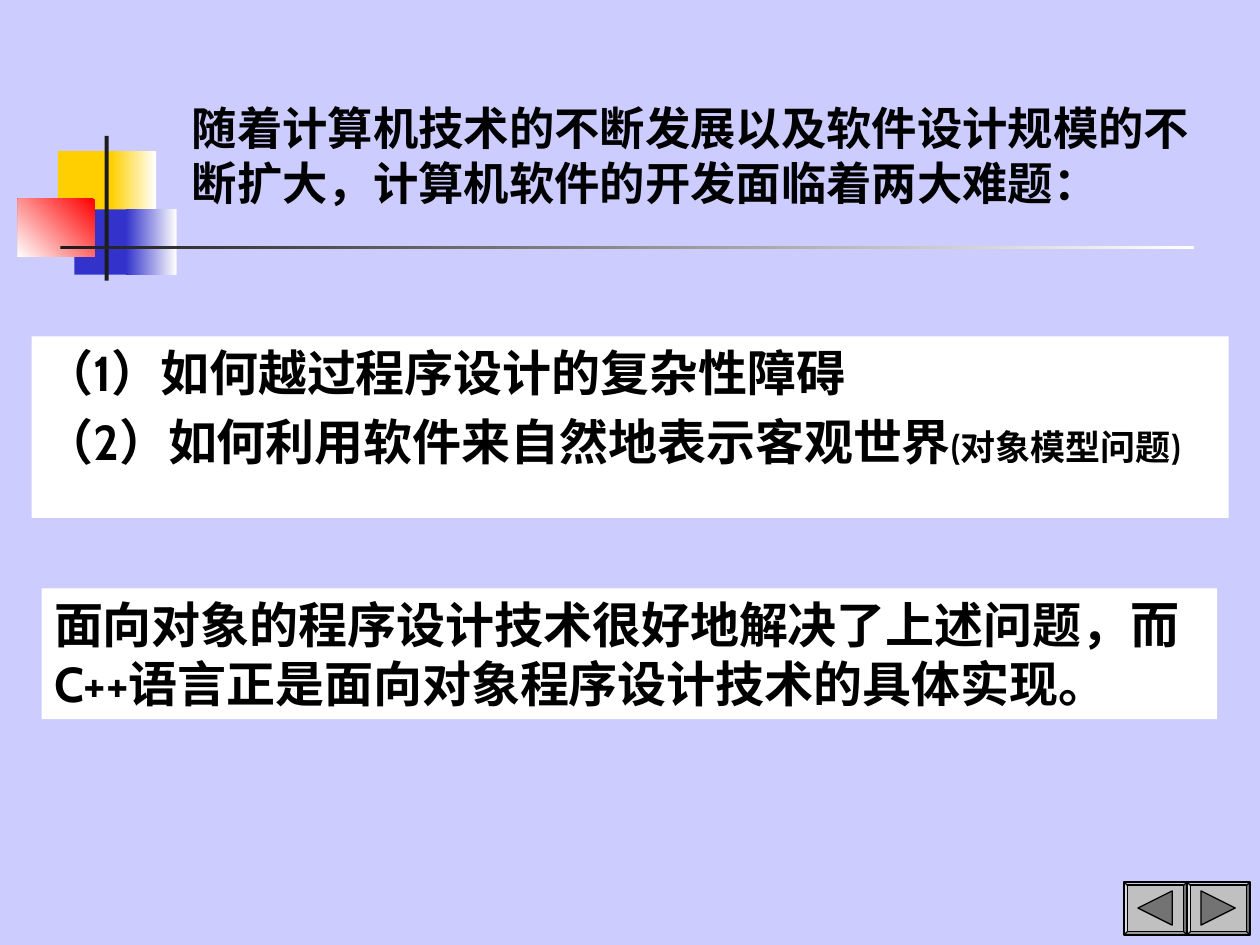
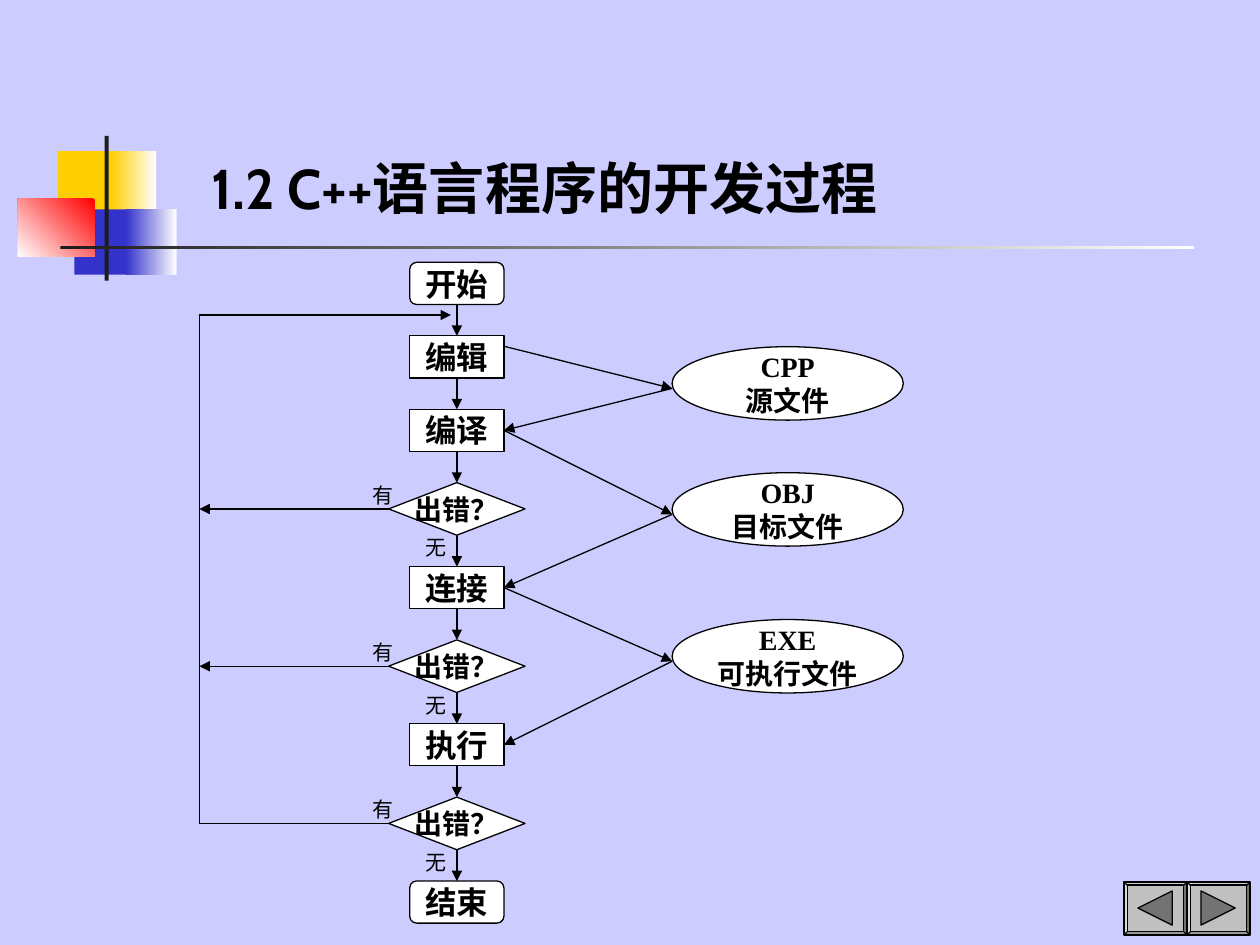
from lxml import etree
from pptx import Presentation
from pptx.dml.color import RGBColor
from pptx.enum import shapes, text
from pptx.oxml import ns
from pptx.util import Cm, Pt

LAVENDER = RGBColor(0xCC, 0xCC, 0xFF)
WHITE = RGBColor(0xFF, 0xFF, 0xFF)
BLACK = RGBColor(0, 0, 0)
INK = RGBColor(0x1C, 0x1C, 0x1C)
YELLOW = RGBColor(0xFF, 0xCF, 0x01)
BLUE = RGBColor(0x33, 0x33, 0xCC)
RED = RGBColor(0xFF, 0, 0)
BUTTON = RGBColor(0xC0, 0xC0, 0xC0)
BUTTON_SIGN = RGBColor(0x73, 0x73, 0x73)
HEAD_FONT = "Cabin"
CHART_FONT = "Times New Roman"
PRESET = shapes.MSO_SHAPE
ANCHOR = text.MSO_ANCHOR
ALIGN = text.PP_ALIGN

AXIS = 9.21
RAIL = 4.02
STEP_W, STEP_H = 1.9, 0.85
CHECK_W, CHECK_H = 2.75, 1.06
STEP_GAP = 0.63
FILE_LEFT, FILE_W, FILE_H = 13.55, 4.66, 1.48


def write(frame, lines, size, font=HEAD_FONT, bold=True, align=ALIGN.LEFT,
          anchor=ANCHOR.TOP, wrap=True, before=0):
    """Fill a text frame; a line is a string or a list of (text, size) runs."""
    frame.auto_size = text.MSO_AUTO_SIZE.NONE
    frame.word_wrap = wrap
    frame.vertical_anchor = anchor
    for index, line in enumerate(lines):
        paragraph = frame.paragraphs[0] if index == 0 else frame.add_paragraph()
        paragraph.alignment = align
        paragraph.space_before = Pt(before)
        for words, points in [(line, size)] if isinstance(line, str) else line:
            run = paragraph.add_run()
            run.text = words
            run.font.size = Pt(points)
            run.font.name = font
            run.font.bold = bold
            run.font.color.rgb = BLACK


def place(item, left, top, width, height):
    """Move and size a placeholder in centimetres."""
    item.left, item.top = Cm(left), Cm(top)
    item.width, item.height = Cm(width), Cm(height)


def add_block(slide, preset, left, top, width, height, fill=WHITE,
              outlined=False, fade_angle=None):
    """Add a preset shape, solid or fading to white."""
    block = slide.shapes.add_shape(preset, Cm(left), Cm(top), Cm(width), Cm(height))
    block.shadow.inherit = False
    if fade_angle is None:
        block.fill.solid()
        block.fill.fore_color.rgb = fill
    else:
        block.fill.gradient()
        block.fill.gradient_angle = fade_angle
        for stop, colour in zip(block.fill.gradient_stops, (fill, WHITE)):
            stop.color.rgb = colour
    if outlined:
        block.line.color.rgb = BLACK
        block.line.width = Pt(0.75)
    else:
        block.line.fill.background()
    return block


def add_line(slide, start, end, arrow=True):
    """Draw a thin black line, by default with an arrowhead at its end."""
    line = slide.shapes.add_connector(
        shapes.MSO_CONNECTOR.STRAIGHT, *(Cm(value) for value in (*start, *end)))
    line.line.color.rgb = BLACK
    line.line.width = Pt(0.75)
    if arrow:
        etree.SubElement(line.line._get_or_add_ln(), ns.qn("a:tailEnd"), type="triangle")
    etree.SubElement(line.element.spPr, ns.qn("a:effectLst"))


def add_answer(slide, word, left, top):
    """Label one branch of a check."""
    answer = slide.shapes.add_textbox(Cm(left), Cm(top), Cm(0.91), Cm(0.76))
    write(answer.text_frame, [word], 12, CHART_FONT, bold=False, wrap=False)


def decorate_master(prs, slide):
    """Give the master its background, colour squares and rules."""
    master = prs.slide_master
    master.background.fill.solid()
    master.background.fill.fore_color.rgb = LAVENDER
    decorations = [
        (1.17, 3.05, 1.22, 1.32, YELLOW, None),
        (2.24, 3.05, 0.91, 1.32, YELLOW, 0),
        (1.5, 4.22, 1.17, 1.32, BLUE, None),
        (2.54, 4.22, 1.02, 1.32, BLUE, 0),
        (0.36, 4.01, 1.55, 1.17, RED, 225),
        (2.11, 2.74, 0.08, 2.92, INK, None),
        (1.22, 4.95, 22.86, 0.08, INK, 0),
    ]
    for number, (*area, colour, angle) in enumerate(decorations, 100):
        block = add_block(slide, PRESET.RECTANGLE, *area, colour, fade_angle=angle)
        block.element.nvSpPr.cNvPr.set("id", str(number))
        master.shapes.element.append(block.element)


def add_title(slide, words, size, area, before):
    """Place the heading above the rule."""
    place(slide.shapes.title, *area)
    write(slide.shapes.title.text_frame, [words], size, before=before)


def add_navigation(slide):
    """Add the back and forward buttons in the corner."""
    for left, sign_left, turn in ((22.66, 22.94, 270), (23.93, 24.21, 90)):
        button = add_block(slide, PRESET.BEVEL, left, 17.78, 1.27, 1.07, BUTTON, True)
        button.adjustments[0] = 0.06
        sign = add_block(slide, PRESET.ISOSCELES_TRIANGLE, sign_left, 17.96, 0.69, 0.69,
                         BUTTON_SIGN, True)
        sign.rotation = turn


def build_problems(slide):
    """Build the slide on the two problems of software development."""
    add_title(slide, "随着计算机技术的不断发展以及软件设计规模的不断扩大，计算机软件的开发面临着两大难题：",
              25.9, (3.61, 1.9, 21.39, 2.97), 7)
    problems = slide.placeholders[1]
    place(problems, 0.64, 6.78, 24.13, 3.66)
    problems.fill.solid()
    problems.fill.fore_color.rgb = WHITE
    write(problems.text_frame,
          ["（1）如何越过程序设计的复杂性障碍",
           [("（2）如何利用软件来自然地表示客观世界", 28), ("(对象模型问题)", 20)]],
          28, before=6)
    for paragraph in problems.text_frame.paragraphs:
        properties = paragraph._p.get_or_add_pPr()
        properties.set("marL", "0")
        properties.set("indent", "0")
        etree.SubElement(properties, ns.qn("a:buNone"))
    answer = add_block(slide, PRESET.RECTANGLE, 0.84, 11.86, 23.7, 2.64)
    write(answer.text_frame,
          ["面向对象的程序设计技术很好地解决了上述问题，而C++语言正是面向对象程序设计技术的具体实现。"],
          28, before=17.5)
    add_navigation(slide)


def add_steps(slide):
    """Stack the steps and checks; return the tops of steps and checks."""
    steps, checks = {}, []
    top = 5.29
    for name in ("开始", "编辑", "编译", "出错？", "连接", "出错？", "执行", "出错？", "结束"):
        if name == "出错？":
            preset, width, height, size = PRESET.DIAMOND, CHECK_W, CHECK_H, 16
            checks.append(top)
        else:
            preset, width, height, size = PRESET.RECTANGLE, STEP_W, STEP_H, 18
            steps[name] = top
            if name in ("开始", "结束"):
                preset = PRESET.ROUNDED_RECTANGLE
        step = add_block(slide, preset, AXIS - width / 2, top, width, height, outlined=True)
        write(step.text_frame, [name], size, CHART_FONT, align=ALIGN.CENTER,
              anchor=ANCHOR.MIDDLE, wrap=False)
        bottom = top + height
        top = bottom + STEP_GAP
        if name != "结束":
            add_line(slide, (AXIS, bottom), (AXIS, top))
    return steps, checks


def add_error_loop(slide, checks):
    """Lead each failed check back to editing."""
    for top in checks:
        middle = top + CHECK_H / 2
        add_line(slide, (AXIS - CHECK_W / 2, middle), (RAIL, middle), top != checks[-1])
        add_answer(slide, "有", 7.26, top - 0.13)
        add_answer(slide, "无", 8.33, top + CHECK_H - 0.13)
    add_line(slide, (RAIL, checks[-1] + CHECK_H / 2), (RAIL, 6.35), False)
    add_line(slide, (RAIL, 6.35), (9.09, 6.35))


def add_files(slide, steps):
    """Add the files that pass from one step to the next."""
    files = [
        ("CPP", "源文件", 6.99, "编译"),
        ("OBJ", "目标文件", 9.53, "连接"),
        ("EXE", "可执行文件", 12.49, "执行"),
    ]
    step_right = AXIS + STEP_W / 2
    source = (step_right, steps["编辑"] + 0.21)
    for suffix, meaning, top, reader in files:
        file = add_block(slide, PRESET.OVAL, FILE_LEFT, top, FILE_W, FILE_H, outlined=True)
        write(file.text_frame, [suffix, meaning], 16, CHART_FONT, align=ALIGN.CENTER,
              anchor=ANCHOR.MIDDLE, wrap=False)
        port = (FILE_LEFT, top + 0.84)
        target = (step_right, steps[reader] + STEP_H / 2)
        add_line(slide, source, port)
        add_line(slide, port, target)
        source = target


def build_process(slide):
    """Build the flowchart slide."""
    add_title(slide, "1.2 C++语言程序的开发过程", 32, (4.01, 2.97, 16.94, 1.9), 8)
    steps, checks = add_steps(slide)
    add_error_loop(slide, checks)
    add_files(slide, steps)
    add_navigation(slide)


def main():
    """Build and save both slides."""
    prs = Presentation()
    prs.slide_width, prs.slide_height = Cm(25.4), Cm(19.05)
    problems = prs.slides.add_slide(prs.slide_layouts[1])
    process = prs.slides.add_slide(prs.slide_layouts[5])
    decorate_master(prs, problems)
    build_problems(problems)
    build_process(process)
    prs.save("out.pptx")


main()
